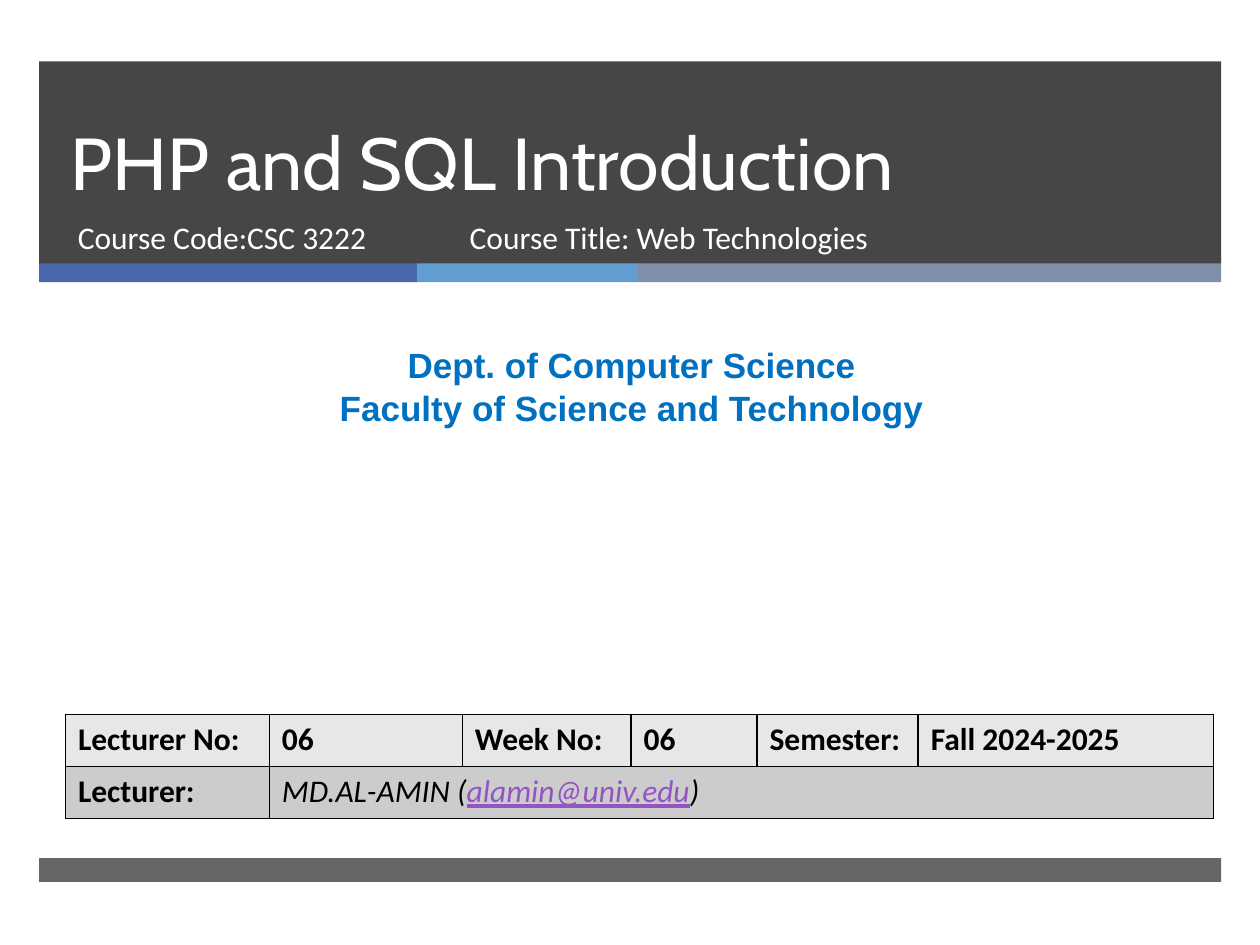
"""Build the opening slide of a web technologies lecture."""
from dataclasses import dataclass

import pptx
import pptx.dml.color
import pptx.enum.shapes
import pptx.enum.text
import pptx.oxml
import pptx.oxml.ns
import pptx.util
from pptx.util import Cm, Pt

COLORS = {
    "charcoal": "262626", "indigo": "4A66AC", "sky": "629DD1", "slate": "7F8FA9",
    "white": "FFFFFF", "black": "000000", "department": "0070C0", "email": "9454C3",
    "light_row": "E7E7E7", "dark_row": "CCCCCC",
}
LEFT, FULL_WIDTH = 0.79, 23.83
BORDER_TAGS = ("a:lnL", "a:lnR", "a:lnT", "a:lnB")


@dataclass
class Bar:
    left: float
    top: float
    width: float
    height: float
    color: str
    opacity: int = 100


@dataclass
class Style:
    size: float
    font: str
    color: str
    bold: bool = False
    italic: bool = False
    underline: bool = False


@dataclass
class Label:
    left: float
    top: float
    width: float
    height: float
    lines: tuple[str, ...]
    style: Style
    centered: bool = False


COURSE = Style(18, "Calibri", "white")
HEADING = Style(18, "Calibri", "black", bold=True)
LECTURER = Style(18, "Calibri", "black", italic=True)
EMAIL = Style(18, "Calibri", "email", italic=True, underline=True)

BARS = [
    Bar(LEFT, 1.24, FULL_WIDTH, 4.08, "charcoal", 85),
    Bar(LEFT, 5.31, 7.62, 0.38, "indigo"),
    Bar(LEFT + 7.62, 5.31, 4.45, 0.38, "sky"),
    Bar(LEFT + 12.07, 5.31, 11.76, 0.38, "slate"),
    Bar(LEFT, 17.3, FULL_WIDTH, 0.48, "charcoal", 70),
]
LABELS = [
    Label(1.32, 4.27, 7.75, 1.35, ("Course Code:CSC 3222",), COURSE),
    Label(9.22, 4.27, 11.56, 1.35, ("Course Title: Web Technologies",), COURSE),
    Label(0.2, 6.81, 25.07, 1.96,
          ("Dept. of Computer Science", "Faculty of Science and Technology"),
          Style(20, "Arial", "department", bold=True), centered=True),
]
COLUMN_WIDTHS = (4.11, 3.89, 3.4, 2.54, 3.25, 5.95)
ROW_HEIGHT = 1.05
LECTURE_ROW = ("Lecturer No:", "06", "Week No:", "06", "Semester:", "Fall 2024-2025")
LECTURER_RUNS = (("MD.AL-AMIN (", LECTURER), ("alamin@univ.edu", EMAIL), (")", LECTURER))


def rgb(name: str) -> pptx.dml.color.RGBColor:
    """Return the named colour."""
    return pptx.dml.color.RGBColor.from_string(COLORS[name])


def format_run(run, style: Style) -> None:
    """Apply a text style to a run."""
    run.font.size = Pt(style.size)
    run.font.name = style.font
    run.font.color.rgb = rgb(style.color)
    run.font.bold = style.bold
    run.font.italic = style.italic
    run.font.underline = style.underline


def add_bar(slide, bar: Bar) -> None:
    """Draw a borderless, possibly translucent, rectangle."""
    shape = slide.shapes.add_shape(
        pptx.enum.shapes.MSO_SHAPE.RECTANGLE,
        Cm(bar.left), Cm(bar.top), Cm(bar.width), Cm(bar.height))
    shape.shadow.inherit = False
    shape.line.fill.background()
    shape.fill.solid()
    shape.fill.fore_color.rgb = rgb(bar.color)
    if bar.opacity < 100:
        color = shape.fill._xPr.find(".//" + pptx.oxml.ns.qn("a:srgbClr"))
        alpha = pptx.oxml.parse_xml(
            f'<a:alpha {pptx.oxml.ns.nsdecls("a")} val="{bar.opacity * 1000}"/>')
        color.append(alpha)


def add_title(slide, text: str) -> None:
    """Place the title placeholder above the header bar."""
    title = slide.shapes.title
    title.left, title.top, title.width, title.height = Cm(1.17), Cm(1.24), Cm(21.69), Cm(3.02)
    frame = title.text_frame
    frame.text = text
    frame.word_wrap = True
    frame.vertical_anchor = pptx.enum.text.MSO_ANCHOR.BOTTOM
    paragraph = frame.paragraphs[0]
    paragraph.alignment = pptx.enum.text.PP_ALIGN.LEFT
    paragraph.line_spacing = Pt(46)
    format_run(paragraph.runs[0], Style(42, "Cabin", "white"))
    slide.shapes._spTree.append(title._element)


def add_label(slide, label: Label) -> None:
    """Draw a text box with one paragraph per line."""
    shape = slide.shapes.add_textbox(
        Cm(label.left), Cm(label.top), Cm(label.width), Cm(label.height))
    shape.text_frame.word_wrap = True
    shape.text_frame.text = "\n".join(label.lines)
    for paragraph in shape.text_frame.paragraphs:
        if label.centered:
            paragraph.alignment = pptx.enum.text.PP_ALIGN.CENTER
        format_run(paragraph.runs[0], label.style)


def format_cell(cell, fill: str) -> None:
    """Give a cell its borders and fill."""
    properties = cell._tc.get_or_add_tcPr()
    for tag in BORDER_TAGS:
        properties.append(pptx.oxml.parse_xml(
            f'<{tag} {pptx.oxml.ns.nsdecls("a")} w="12700"><a:solidFill>'
            f'<a:srgbClr val="{COLORS["black"]}"/></a:solidFill></{tag}>'))
    cell.fill.solid()
    cell.fill.fore_color.rgb = rgb(fill)


def add_lecture_table(slide) -> None:
    """Draw the table of lecture details."""
    table = slide.shapes.add_table(
        2, len(COLUMN_WIDTHS), Cm(1.32), Cm(14.4),
        Cm(sum(COLUMN_WIDTHS)), Cm(2 * ROW_HEIGHT)).table
    for column, width in zip(table.columns, COLUMN_WIDTHS):
        column.width = Cm(width)
    for row, fill in zip(table.rows, ("light_row", "dark_row")):
        row.height = Cm(ROW_HEIGHT)
        for cell in row.cells:
            format_cell(cell, fill)
    table.cell(1, 1).merge(table.cell(1, len(COLUMN_WIDTHS) - 1))
    contents = [(0, column, ((text, HEADING),)) for column, text in enumerate(LECTURE_ROW)]
    contents += [(1, 0, (("Lecturer:", HEADING),)), (1, 1, LECTURER_RUNS)]
    for row, column, runs in contents:
        paragraph = table.cell(row, column).text_frame.paragraphs[0]
        for text, style in runs:
            run = paragraph.add_run()
            run.text = text
            format_run(run, style)


def main() -> None:
    """Build and save the presentation."""
    presentation = pptx.Presentation()
    presentation.slide_width, presentation.slide_height = Cm(25.4), Cm(19.05)
    slide = presentation.slides.add_slide(presentation.slide_layouts[5])
    for bar in BARS:
        add_bar(slide, bar)
    add_title(slide, "PHP and SQL Introduction")
    for label in LABELS:
        add_label(slide, label)
    add_lecture_table(slide)
    presentation.save("out.pptx")


if __name__ == "__main__":
    main()
